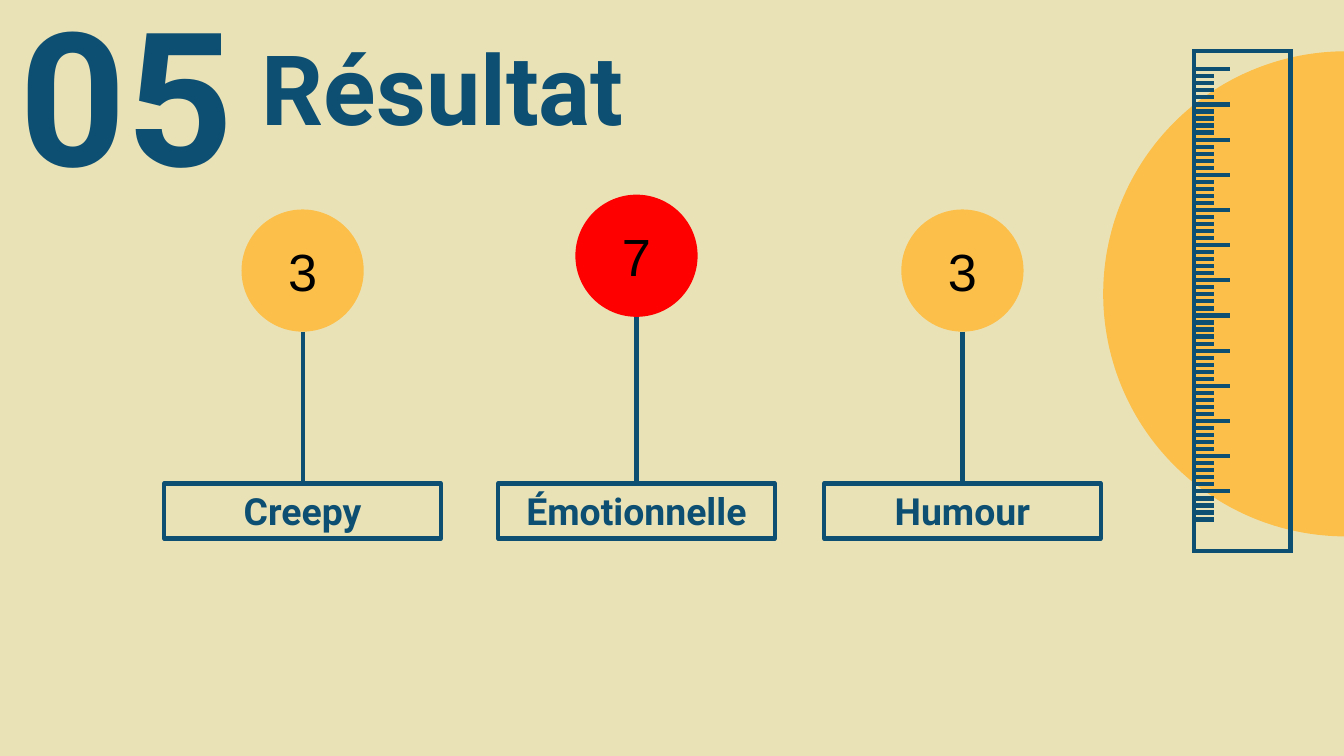
from lxml import etree
from pptx import Presentation
from pptx.dml.color import RGBColor
from pptx.enum.shapes import MSO_CONNECTOR, MSO_SHAPE
from pptx.enum.text import MSO_ANCHOR, MSO_AUTO_SIZE, PP_ALIGN
from pptx.oxml.ns import qn
from pptx.util import Cm, Pt

STRAIGHT = MSO_CONNECTOR.STRAIGHT
OVAL, RECTANGLE = MSO_SHAPE.OVAL, MSO_SHAPE.RECTANGLE
MIDDLE, NO_AUTOFIT = MSO_ANCHOR.MIDDLE, MSO_AUTO_SIZE.NONE
LEFT, CENTER = PP_ALIGN.LEFT, PP_ALIGN.CENTER

COLORS = {
    "sand": "EAE2B7",
    "navy": "0C4F72",
    "amber": "FCBF49",
    "red": "FF0000",
    "black": "000000",
}

HEADING = "Résultat"
SECTION = "05"
SCORES = [
    {"label": "Creepy", "score": "3", "color": "amber", "center": 5.72, "top": 3.96},
    {"label": "Émotionnelle", "score": "7", "color": "red", "center": 12.03, "top": 3.68},
    {"label": "Humour", "score": "3", "color": "amber", "center": 18.19, "top": 3.96},
]

BALL = 2.31
LABEL_TOP, LABEL_WIDTH, LABEL_HEIGHT = 9.14, 5.23, 1.04
RULER_LEFT, RULER_TOP, RULER_WIDTH, RULER_HEIGHT = 22.56, 0.97, 1.83, 9.45
TICK_FIRST, TICK_LAST, TICK_STEPS = 1.31, 9.82, 64
TICK_LONG, TICK_SHORT, TICKS_PER_UNIT = 0.69, 0.38, 5
LINE_WIDTH = 2.25


def rgb(name):
    return RGBColor.from_string(COLORS[name])


def write(holder, text, size, font="Roboto", color="navy", bold=True, align=CENTER):
    frame = holder.text_frame
    frame.text = text
    frame.word_wrap = True
    frame.auto_size = NO_AUTOFIT
    frame.vertical_anchor = MIDDLE
    frame.margin_left = frame.margin_right = Cm(0.25)
    frame.margin_top = frame.margin_bottom = Cm(0.25)
    paragraph = frame.paragraphs[0]
    paragraph.alignment = align
    run = paragraph.runs[0]
    run.font.size = Pt(size)
    run.font.name = font
    run.font.bold = bold
    run.font.color.rgb = rgb(color)


def add_figure(slide, preset, left, top, width, height, fill=None):
    figure = slide.shapes.add_shape(preset, Cm(left), Cm(top), Cm(width), Cm(height))
    figure.shadow.inherit = False
    if fill:
        figure.fill.solid()
        figure.fill.fore_color.rgb = rgb(fill)
        figure.line.fill.background()
    else:
        figure.fill.background()
        figure.line.color.rgb = rgb("navy")
        figure.line.width = Pt(LINE_WIDTH)
    return figure


def add_line(slide, x1, y1, x2, y2):
    line = slide.shapes.add_connector(STRAIGHT, Cm(x1), Cm(y1), Cm(x2), Cm(y2))
    line.line.color.rgb = rgb("navy")
    line.line.width = Pt(LINE_WIDTH)
    etree.SubElement(line._element.spPr, qn("a:effectLst"))


def add_headings(slide):
    title = slide.shapes.title
    title.left, title.top, title.width, title.height = Cm(4.7), Cm(0.58), Cm(12.24), Cm(2.11)
    write(title, HEADING, 52, align=LEFT)
    section = slide.shapes.add_textbox(Cm(-3), Cm(0.2), Cm(10.77), Cm(3.07))
    write(section, SECTION, 100)


def add_ruler(slide):
    add_figure(slide, OVAL, 20.85, 0.97, 9.17, 9.17, "amber")
    ruler = add_figure(slide, RECTANGLE, RULER_LEFT, RULER_TOP, RULER_WIDTH, RULER_HEIGHT)
    etree.SubElement(ruler.line._get_or_add_ln(), qn("a:miter"), lim="800000")
    step = (TICK_LAST - TICK_FIRST) / TICK_STEPS
    for tick in range(TICK_STEPS + 1):
        y = TICK_FIRST + tick * step
        length = TICK_SHORT if tick % TICKS_PER_UNIT else TICK_LONG
        add_line(slide, RULER_LEFT, y, RULER_LEFT + length, y)


def add_score(slide, label, score, color, center, top):
    add_line(slide, center, top + BALL, center, LABEL_TOP)
    ball = add_figure(slide, OVAL, center - BALL / 2, top, BALL, BALL, color)
    write(ball, score, 28, "Arial", "black", False)
    box = add_figure(slide, RECTANGLE, center - LABEL_WIDTH / 2, LABEL_TOP, LABEL_WIDTH, LABEL_HEIGHT)
    write(box, label, 20)


def main():
    presentation = Presentation()
    presentation.slide_width, presentation.slide_height = Cm(25.4), Cm(14.29)
    slide = presentation.slides.add_slide(presentation.slide_layouts[5])
    slide.background.fill.solid()
    slide.background.fill.fore_color.rgb = rgb("sand")
    add_headings(slide)
    add_ruler(slide)
    for entry in SCORES:
        add_score(slide, **entry)
    presentation.save("out.pptx")


if __name__ == "__main__":
    main()
